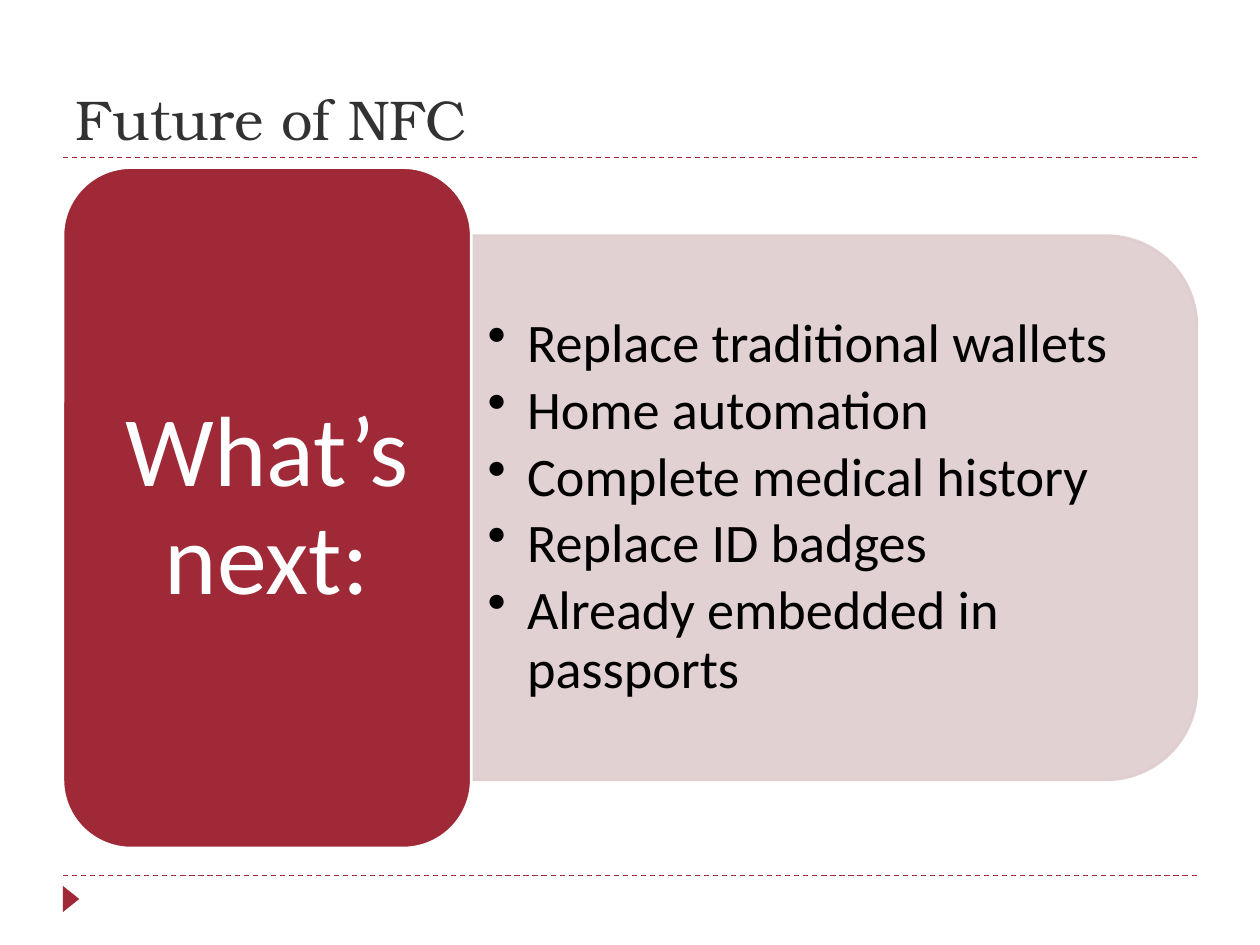
from pptx import Presentation
from pptx.dml.color import RGBColor
from pptx.enum.dml import MSO_LINE
from pptx.enum.shapes import MSO_CONNECTOR, MSO_SHAPE as SHAPE
from pptx.enum.text import MSO_ANCHOR as ANCHOR, PP_ALIGN as ALIGN
from pptx.oxml.ns import qn
from pptx.util import Pt
from lxml.etree import SubElement

COLORS = {"red": "9F2936", "pink": "DFCDCE", "white": "FFFFFF",
          "black": "000000", "title": "323232"}
FUTURES = ["Replace traditional wallets", "Home automation",
           "Complete medical history", "Replace ID badges",
           "Already embedded in passports"]


def rgb(name):
    return RGBColor.from_string(COLORS[name])


class Deck:
    """Holds the presentation style and the current slide."""

    def __init__(self, width, height):
        self.prs = Presentation()
        self.prs.slide_width, self.prs.slide_height = Pt(width), Pt(height)
        self.slide = self.prs.slides.add_slide(self.prs.slide_layouts[6])

    def rule(self, left, right, y):
        s = self.slide.shapes.add_connector(
            MSO_CONNECTOR.STRAIGHT, Pt(left), Pt(y), Pt(right), Pt(y))
        s.line.color.rgb = rgb("red")
        s.line.width = Pt(0.75)
        s.line.dash_style = MSO_LINE.DASH
        SubElement(s._element.spPr, qn("a:effectLst"))

    def shape(self, kind, box, fill, line=None, rotation=0, alpha=None):
        s = self.slide.shapes.add_shape(kind, *map(Pt, box))
        s.shadow.inherit = False
        s.rotation = rotation
        s.fill.solid()
        s.fill.fore_color.rgb = rgb(fill)
        if line:
            s.line.color.rgb = rgb(line)
            s.line.width = Pt(1.5)
        else:
            s.line.fill.background()
        if alpha:
            for color in s._element.spPr.iter(qn("a:srgbClr")):
                SubElement(color, qn("a:alpha"), val=str(alpha * 1000))

    def text(self, box, lines, font, color, size, insets=(7.2, 3.6),
             anchor=ANCHOR.MIDDLE, bullet_indent=None, **para):
        tf = self.slide.shapes.add_textbox(*map(Pt, box)).text_frame
        x, y = map(Pt, insets)
        frame = {"word_wrap": True, "vertical_anchor": anchor,
                 "margin_left": x, "margin_right": x,
                 "margin_top": y, "margin_bottom": y}
        for name, value in frame.items():
            setattr(tf, name, value)
        for i, line in enumerate(lines):
            p = tf.add_paragraph() if i else tf.paragraphs[0]
            for name, value in para.items():
                setattr(p, name, value)
            if bullet_indent:
                self.bullet(p, Pt(bullet_indent))
            r = p.add_run()
            r.text = line
            for name, value in {"name": font, "size": Pt(size)}.items():
                setattr(r.font, name, value)
            r.font.color.rgb = rgb(color)

    def bullet(self, p, indent):
        pPr = p._p.get_or_add_pPr()
        pPr.set("marL", str(indent))
        pPr.set("indent", str(-indent))
        SubElement(pPr, qn("a:buChar"), char="•")


def main():
    deck = Deck(720, 540)
    for y in (500.4, 90):
        deck.rule(36, 684, y)
    deck.shape(SHAPE.ISOSCELES_TRIANGLE, (33.1, 509, 15, 9.4), "red", rotation=90)
    deck.text((36, 12.2, 648, 77.8), ["Future of NFC"], "TeX Gyre Bonum",
              "title", 32, anchor=ANCHOR.BOTTOM)
    deck.shape(SHAPE.ROUND_2_SAME_RECTANGLE, (321.1, 82.8, 311, 414.7), "pink",
               line="pink", rotation=90, alpha=90)
    deck.text((269.3, 149.8, 399.6, 280.8), FUTURES, "Calibri", "black", 31,
              insets=(9.4, 4.3), bullet_indent=22.5, line_spacing=0.9,
              space_after=Pt(4.65))
    deck.shape(SHAPE.ROUNDED_RECTANGLE, (36, 95.8, 233.3, 388.8), "red", line="white")
    deck.text((47.5, 107.3, 210.2, 365.8), ["What’s next:"], "Calibri", "white", 57,
              insets=(17.3, 8.6), alignment=ALIGN.CENTER, line_spacing=0.9)
    deck.prs.save("out.pptx")


if __name__ == "__main__":
    main()
